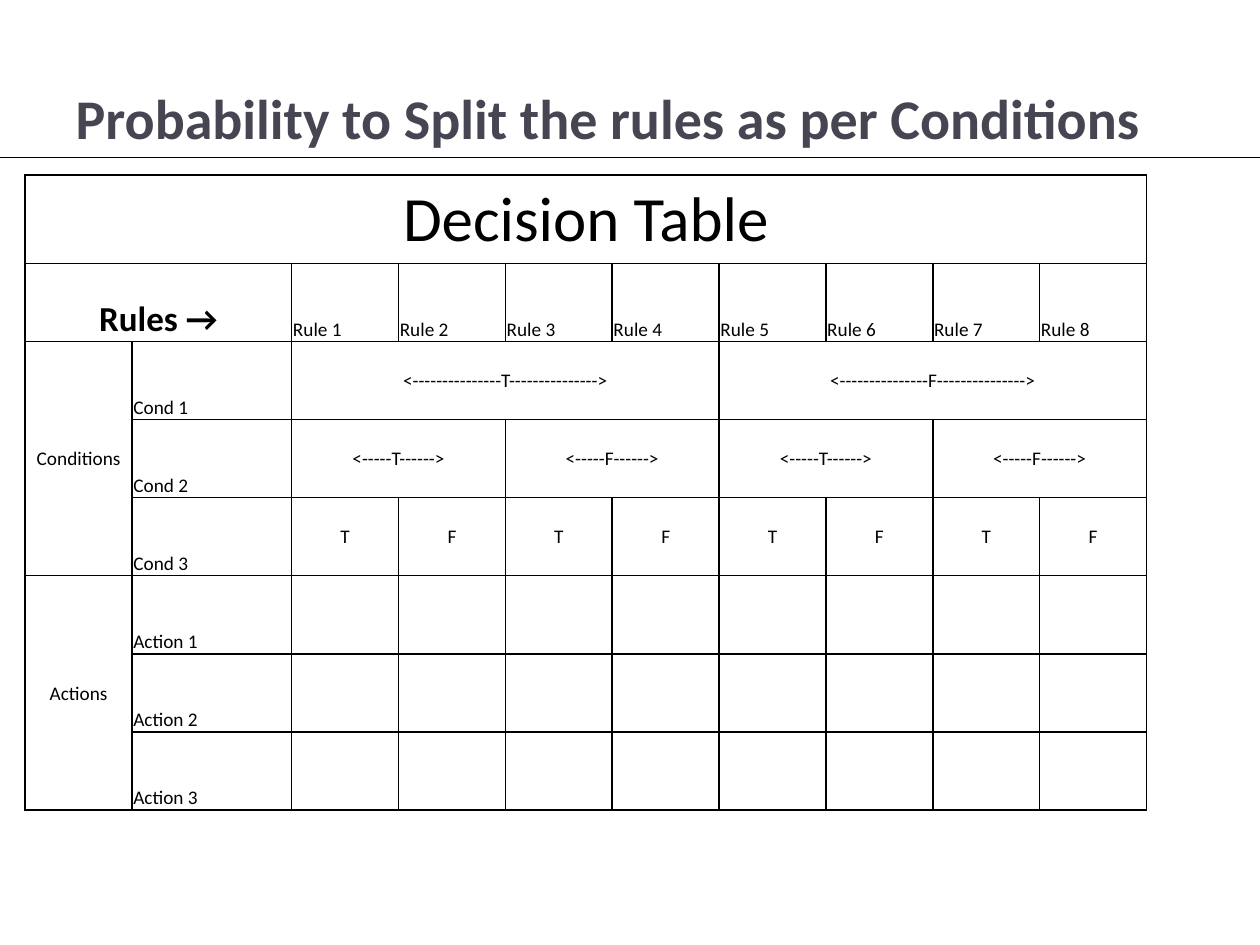
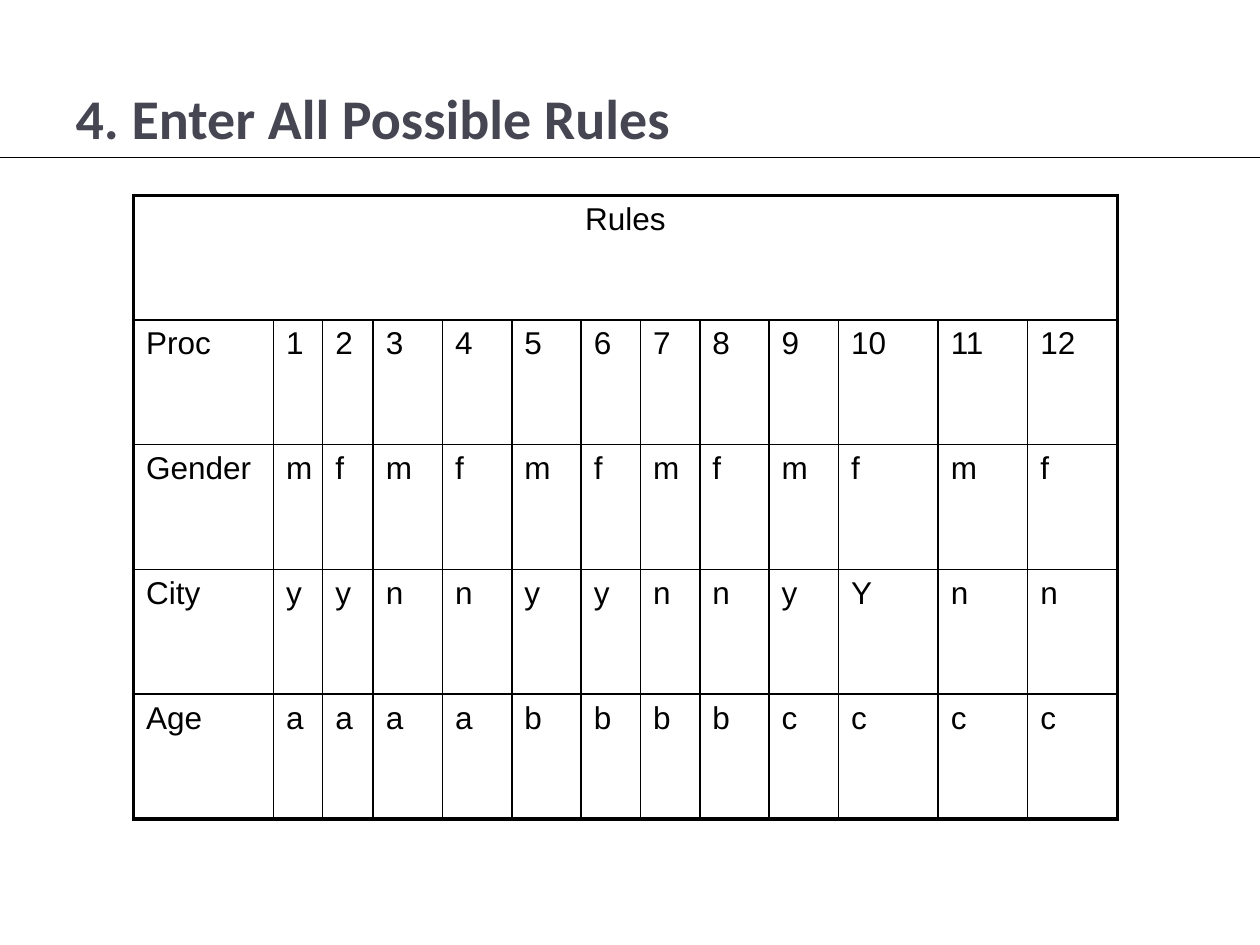
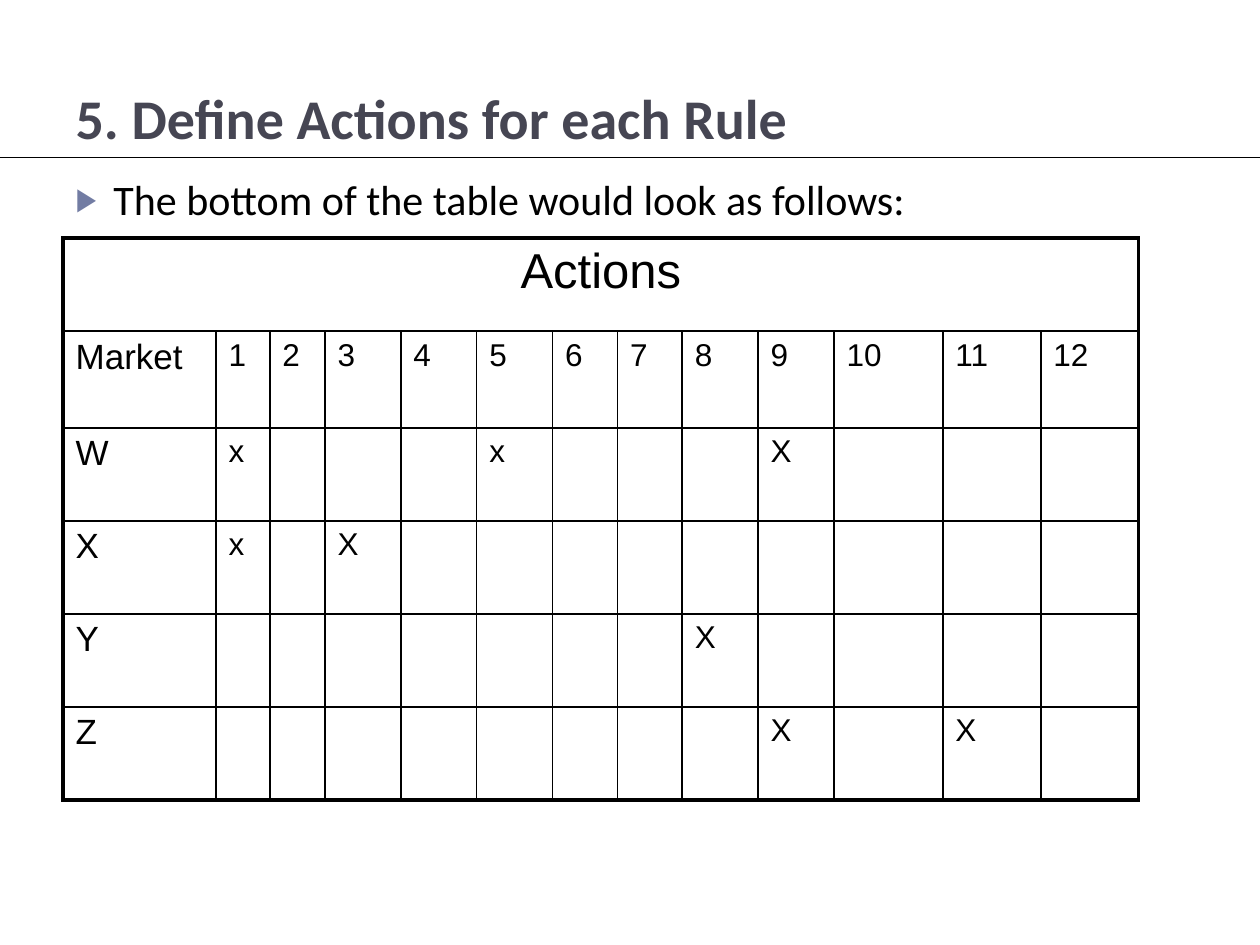
from dataclasses import dataclass, field

import pptx
import pptx.dml.color
import pptx.enum.shapes
import pptx.enum.text
import pptx.oxml
import pptx.oxml.ns
import pptx.util
from lxml import etree

Inches, Pt = pptx.util.Inches, pptx.util.Pt
ALIGN, ANCHOR = pptx.enum.text.PP_ALIGN, pptx.enum.text.MSO_ANCHOR
qn = pptx.oxml.ns.qn


@dataclass(frozen=True)
class Theme:
    title_color: str = "464653"
    ink: str = "000000"
    bullet_color: str = "727CA3"
    text_font: str = "Calibri"
    grid_font: str = "Arial"
    title_size: int = 32
    body_size: int = 24
    rule_width: float = 0.75
    thin: float = 1
    thick: float = 2.25


@dataclass
class Grid:
    """A table: covered cells hold "", spans maps a cell to (rows, columns)."""
    box: tuple
    columns: list
    rows: list
    cells: list
    size: int
    font: str
    outline: float
    spans: dict
    sizes: dict = field(default_factory=dict)
    bold: set = field(default_factory=set)
    centered: set = field(default_factory=set)
    anchors: dict = field(default_factory=dict)
    label_anchor: object = ANCHOR.TOP
    centered_anchor: object = ANCHOR.TOP
    margins: tuple = (0.1, 0.05, 0.1, 0.05)
    space_before: float = 0


THEME = Theme()
WIDTH, HEIGHT = 10, 7.5
TITLE_BOX = (0.5, 0.17, 9, 1.08)
BODY_BOX = (0.5, 1.33, 9, 5.4)
RULE_TOP = 1.25

RULE_COUNT = 8
RULE_NUMBERS = [str(number) for number in range(1, 13)]
# Each condition halves the span of the one above it.
SPLITS = [
    ["<---------------T--------------->", "<---------------F--------------->"],
    ["<-----T------>", "<-----F------>"],
    ["T", "F"],
]
POSSIBLE_RULES = [
    ["Rules"] + [""] * 12,
    ["Proc", *RULE_NUMBERS],
    ["Gender", *"mfmfmfmfmfmf"],
    ["City", *"yynnyynnyYnn"],
    ["Age", *"aaaabbbbcccc"],
]
MARKETS = {
    "W": {1: "x", 5: "x", 9: "X"},
    "X": {1: "x", 3: "X"},
    "Y": {8: "X"},
    "Z": {9: "X", 11: "X"},
}
RULE_COLUMNS = [1.11, 0.39, 0.4, 0.55, 0.55, 0.55, 0.47, 0.47, 0.55, 0.55,
                0.79, 0.71, 0.71]


def decision_grid():
    cells = [["Decision Table"] + [""] * 9,
             ["Rules →", ""] + [f"Rule {n}" for n in range(1, RULE_COUNT + 1)]]
    spans = {(0, 0): (1, 10), (1, 0): (1, 2), (2, 0): (3, 1), (5, 0): (3, 1)}
    centered = set(spans)
    for level, split in enumerate(SPLITS):
        row, width = 2 + level, RULE_COUNT // 2 ** (level + 1)
        values = [""] * RULE_COUNT
        for index, start in enumerate(range(0, RULE_COUNT, width)):
            values[start] = split[index % 2]
            centered.add((row, 2 + start))
            if width > 1:
                spans[row, 2 + start] = (1, width)
        cells.append(["" if level else "Conditions", f"Cond {level + 1}", *values])
    for number in range(1, 4):
        cells.append(["Actions" if number == 1 else "", f"Action {number}"]
                     + [""] * RULE_COUNT)
    return Grid((0.2, 1.39, 8.9, 5.04), [0.85, 1.27] + [0.85] * RULE_COUNT,
                [0.7] + [0.62] * 7, cells, 11, THEME.text_font, THEME.thin, spans,
                sizes={(0, 0): 36, (1, 0): 20}, bold={(1, 0)}, centered=centered,
                anchors={(1, 0): ANCHOR.BOTTOM}, label_anchor=ANCHOR.BOTTOM,
                centered_anchor=ANCHOR.MIDDLE, margins=(0.01, 0.01, 0.01, 0))


def rule_grid(box, rows, cells, sizes):
    return Grid(box, RULE_COLUMNS, rows, cells, 18, THEME.grid_font, THEME.thick,
                {(0, 0): (1, 13)}, sizes=sizes, centered={(0, 0)}, space_before=0.2)


def action_cells():
    marks = [[market] + [found.get(n, "") for n in range(1, 13)]
             for market, found in MARKETS.items()]
    return [["Actions"] + [""] * 12, ["Market", *RULE_NUMBERS], *marks]


def rgb(color):
    return pptx.dml.color.RGBColor.from_string(color)


def place(shape, box):
    shape.left, shape.top, shape.width, shape.height = map(Inches, box)


def style_runs(paragraph, size, font, color=THEME.ink, bold=False):
    for run in paragraph.runs:
        run.font.size, run.font.name, run.font.bold = Pt(size), font, bold
        run.font.color.rgb = rgb(color)


def fill_placeholder(placeholder, box, text, anchor):
    place(placeholder, box)
    frame = placeholder.text_frame
    frame.text = text
    frame.auto_size = pptx.enum.text.MSO_AUTO_SIZE.NONE
    frame.vertical_anchor = anchor
    paragraph = frame.paragraphs[0]
    paragraph.alignment = ALIGN.LEFT
    return paragraph


def add_slide(deck, layout, title):
    slide = deck.slides.add_slide(deck.slide_layouts.get_by_name(layout))
    heading = fill_placeholder(slide.shapes.title, TITLE_BOX, title, ANCHOR.BOTTOM)
    style_runs(heading, THEME.title_size, THEME.text_font, THEME.title_color, True)
    rule = slide.shapes.add_connector(
        pptx.enum.shapes.MSO_CONNECTOR.STRAIGHT,
        0, Inches(RULE_TOP), Inches(WIDTH), Inches(RULE_TOP))
    rule.line.color.rgb = rgb(THEME.ink)
    rule.line.width = Pt(THEME.rule_width)
    etree.SubElement(rule.element.spPr, qn("a:effectLst"))
    return slide


def add_bullet(slide, text):
    paragraph = fill_placeholder(slide.placeholders[1], BODY_BOX, text, ANCHOR.TOP)
    paragraph.space_before = Pt(6)
    style_runs(paragraph, THEME.body_size, THEME.text_font)
    properties = paragraph._p.get_or_add_pPr()
    properties.set("marL", str(Inches(0.3)))
    properties.set("indent", str(Inches(-0.3)))
    color = etree.SubElement(properties, qn("a:buClr"))
    etree.SubElement(color, qn("a:srgbClr"), val=THEME.bullet_color)
    etree.SubElement(properties, qn("a:buSzPct"), val="76000")
    etree.SubElement(properties, qn("a:buFont"), typeface=THEME.grid_font)
    etree.SubElement(properties, qn("a:buChar"), char="▶")


def set_borders(cell, widths):
    """Draw the left, right, top and bottom edges, ahead of the cell's fill."""
    properties = cell._tc.get_or_add_tcPr()
    for index, (side, width) in enumerate(zip("LRTB", widths)):
        line = etree.Element(qn(f"a:ln{side}"), w=str(Pt(width)))
        fill = etree.SubElement(line, qn("a:solidFill"))
        etree.SubElement(fill, qn("a:srgbClr"), val=THEME.ink)
        properties.insert(index, line)


def format_cell(cell, grid, row, column):
    key = row, column
    size = grid.sizes.get(key, grid.size)
    is_centered = key in grid.centered
    cell.text_frame.text = grid.cells[row][column]
    paragraph = cell.text_frame.paragraphs[0]
    paragraph.alignment = ALIGN.CENTER if is_centered else ALIGN.LEFT
    paragraph.space_before = Pt(size * grid.space_before)
    paragraph.font.size = Pt(size)
    style_runs(paragraph, size, grid.font, bold=key in grid.bold)
    cell.vertical_anchor = grid.anchors.get(
        key, grid.centered_anchor if is_centered else grid.label_anchor)
    (cell.margin_left, cell.margin_top,
     cell.margin_right, cell.margin_bottom) = map(Inches, grid.margins)
    cell.fill.background()
    height, width = grid.spans.get(key, (1, 1))
    outer = (column == 0, column + width == len(grid.columns),
             row == 0, row + height == len(grid.rows))
    set_borders(cell, [grid.outline if edge else THEME.thin for edge in outer])


def add_grid(slide, grid):
    left, top, width, height = grid.box
    table = slide.shapes.add_table(len(grid.rows), len(grid.columns),
                                   *map(Inches, grid.box)).table
    table.first_row = table.horz_banding = False
    for column, share in zip(table.columns, grid.columns):
        column.width = Inches(width * share / sum(grid.columns))
    for row, share in zip(table.rows, grid.rows):
        row.height = Inches(height * share / sum(grid.rows))
    for (row, column), (tall, wide) in grid.spans.items():
        table.cell(row, column).merge(table.cell(row + tall - 1, column + wide - 1))
    for row in range(len(grid.rows)):
        for column in range(len(grid.columns)):
            format_cell(table.cell(row, column), grid, row, column)


def main():
    deck = pptx.Presentation()
    deck.slide_width, deck.slide_height = Inches(WIDTH), Inches(HEIGHT)

    split = add_slide(deck, "Title Only",
                      "Probability to Split the rules as per Conditions")
    add_grid(split, decision_grid())

    possible = add_slide(deck, "Title Only", "4. Enter All Possible Rules")
    add_grid(possible, rule_grid((1.06, 1.55, 7.81, 4.95), [1] * 5,
                                 POSSIBLE_RULES, {}))

    actions = add_slide(deck, "Title and Content", "5. Define Actions for each Rule")
    add_bullet(actions, "The bottom of the table would look as follows:")
    label_sizes = {(row, 0): 20 for row in range(1, 6)}
    add_grid(actions, rule_grid((0.5, 1.89, 8.54, 4.46),
                                [0.74, 0.77] + [0.74] * 4,
                                action_cells(), {(0, 0): 28, **label_sizes}))

    deck.save("out.pptx")


if __name__ == "__main__":
    main()
